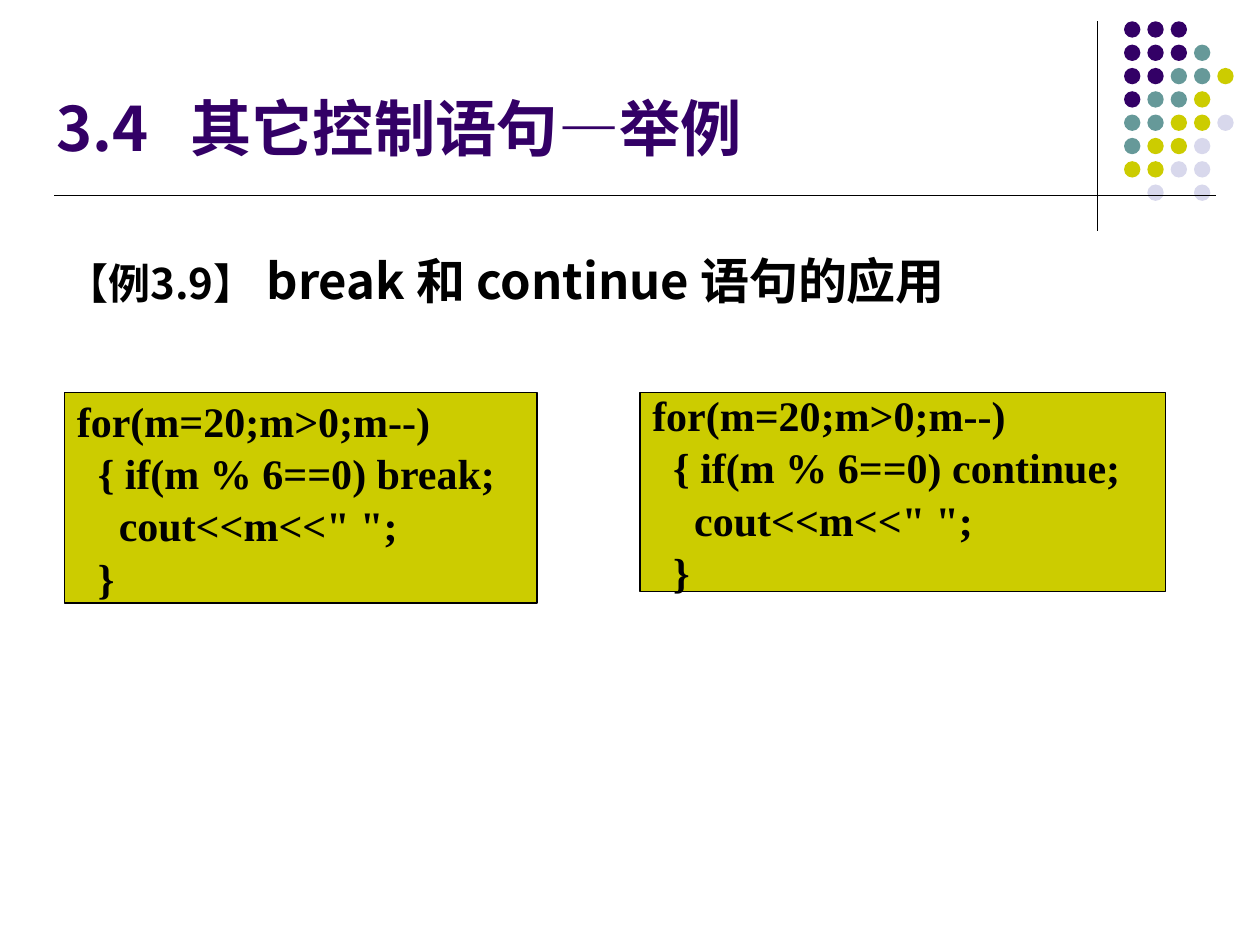
from dataclasses import dataclass

from lxml.etree import SubElement
from pptx import Presentation
from pptx.dml.color import RGBColor as Rgb
from pptx.enum.shapes import MSO_CONNECTOR as Connector, MSO_SHAPE as Shape
from pptx.enum.text import MSO_ANCHOR as Anchor, PP_ALIGN as Align
from pptx.oxml.ns import qn
from pptx.util import Cm, Pt


@dataclass(frozen=True)
class Theme:
    """Colours, fonts and type sizes of the slide."""

    ink: str = "000000"
    purple: str = "330066"
    teal: str = "669999"
    olive: str = "CCCC00"
    pale: str = "D8D8EC"
    heading_font: str = "Noto Sans CJK SC"
    code_font: str = "Times New Roman"
    title_size: int = 35
    topic_size: int = 28
    body_size: int = 24


class LessonSlide:
    """Draws styled elements on the current slide."""

    def __init__(self, slide, theme):
        self.shapes = slide.shapes
        self.theme = theme

    def rule(self, start, end, weight):
        """Draw a straight line."""
        line = self.shapes.add_connector(
            Connector.STRAIGHT, *(Cm(value) for value in (*start, *end)))
        line.line.color.rgb = Rgb.from_string(self.theme.ink)
        line.line.width = Pt(weight)
        SubElement(line._element.spPr, qn("a:effectLst"))

    def block(self, kind, box, colour):
        """Draw a filled shape without outline."""
        shape = self.shapes.add_shape(kind, *(Cm(value) for value in box))
        shape.shadow.inherit = False
        shape.fill.solid()
        shape.fill.fore_color.rgb = Rgb.from_string(colour)
        shape.line.fill.background()
        return shape

    def dots(self, left, top, pitch, size, rows):
        """Draw the dot pattern from rows of colour letters."""
        palette = {"P": self.theme.purple, "T": self.theme.teal,
                   "O": self.theme.olive, "L": self.theme.pale}
        for row, letters in enumerate(rows):
            for column, letter in enumerate(letters):
                if letter in palette:
                    box = (left + column * pitch, top + row * pitch, size, size)
                    self.block(Shape.OVAL, box, palette[letter])

    def run(self, paragraph, text, size, font, colour):
        """Add one bold run."""
        run = paragraph.add_run()
        run.text = text
        run.font.size = Pt(size)
        run.font.bold = True
        run.font.name = font
        run.font.color.rgb = Rgb.from_string(colour)
        SubElement(run._r.rPr, qn("a:ea"), typeface=font)

    def heading(self, box, parts, colour, anchor=Anchor.TOP, tab=None):
        """Add a one-line text box made of sized parts."""
        frame = self.shapes.add_textbox(*(Cm(value) for value in box)).text_frame
        frame.word_wrap = True
        frame.vertical_anchor = anchor
        paragraph = frame.paragraphs[0]
        if tab:
            stops = SubElement(paragraph._p.get_or_add_pPr(), qn("a:tabLst"))
            SubElement(stops, qn("a:tab"), pos=str(Cm(tab)), algn="l")
        for text, size in parts:
            self.run(paragraph, text, size, self.theme.heading_font, colour)

    def code(self, box, lines):
        """Add a framed code listing."""
        panel = self.block(Shape.RECTANGLE, box, self.theme.olive)
        panel.line.color.rgb = Rgb.from_string(self.theme.ink)
        panel.line.width = Pt(0.75)
        frame = panel.text_frame
        frame.word_wrap = True
        frame.vertical_anchor = Anchor.MIDDLE
        for index, text in enumerate(lines):
            paragraph = frame.add_paragraph() if index else frame.paragraphs[0]
            paragraph.alignment = Align.LEFT
            paragraph.line_spacing = 1.04
            self.run(paragraph, text, self.theme.body_size,
                     self.theme.code_font, self.theme.ink)


def main():
    """Build and save the lesson slide."""
    deck = Presentation()
    deck.slide_width, deck.slide_height = Cm(25.4), Cm(19.05)
    theme = Theme()
    lesson = LessonSlide(deck.slides.add_slide(deck.slide_layouts[6]), theme)

    lesson.rule((22.12, 0.43), (22.12, 4.65), 0.75)
    lesson.dots(22.66, 0.43, 0.47, 0.33, (
        "PPP", "PPPT", "PPTTO", "PTTO", "TTOOL", "TOOL", "OOLL", " L L"))
    lesson.rule((1.09, 3.94), (24.51, 3.94), 1)

    lesson.heading((1.09, 4.93, 22.2, 1.45),
                   (("【例3.9】", theme.body_size),
                    (" break 和 continue 语句的应用", theme.topic_size)),
                   theme.ink)
    for box, jump in (((1.3, 7.92, 9.53, 4.24), "break"),
                      ((12.9, 7.92, 10.59, 4.01), "continue")):
        lesson.code(box, ("for(m=20;m>0;m--)",
                          f"  {{ if(m % 6==0) {jump};",
                          '    cout<<m<<" ";',
                          "  }"))
    lesson.heading((0.89, 1.52, 16, 1.91),
                   (("3.4\t其它控制语句—举例", theme.title_size),),
                   theme.purple, Anchor.BOTTOM, tab=2.7)

    deck.save("out.pptx")


if __name__ == "__main__":
    main()
